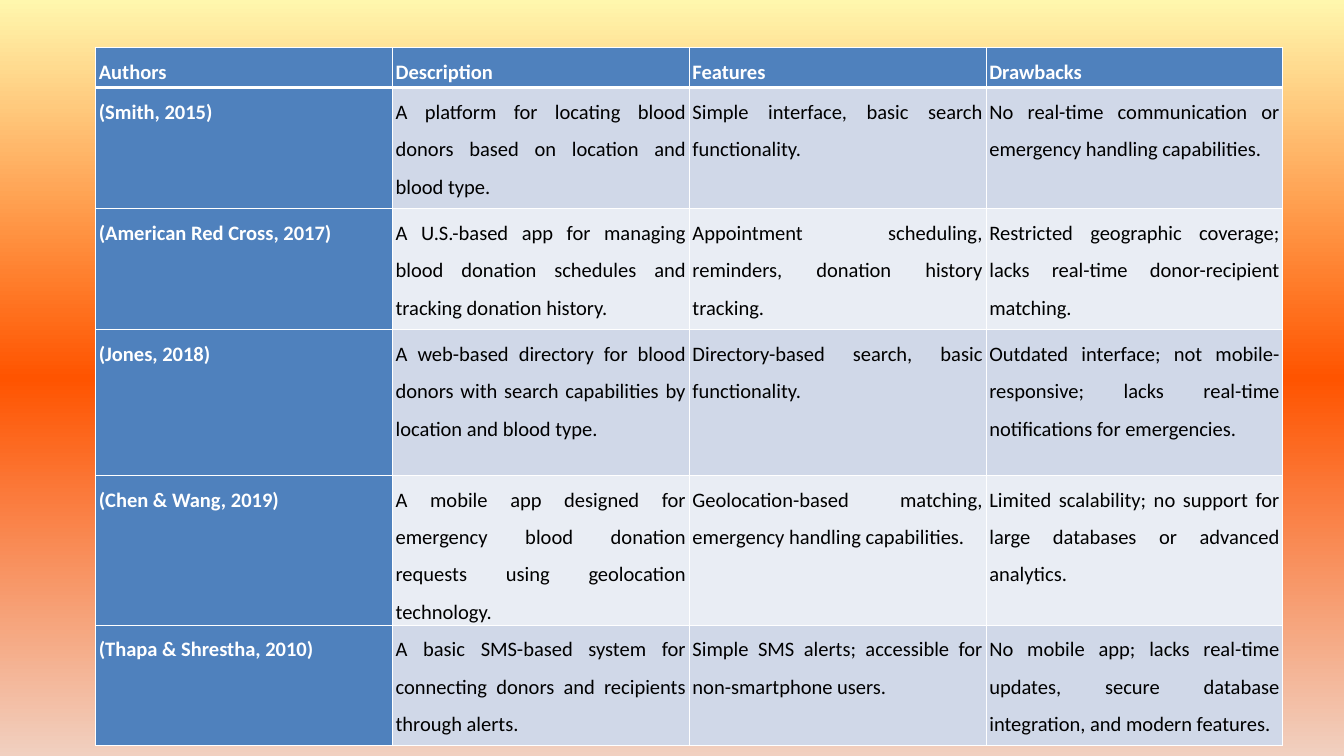
"""Build a slide comparing published blood donation systems in a table."""
from dataclasses import astuple, dataclass

import lxml.etree
import pptx
import pptx.dml.color
import pptx.enum.text
import pptx.oxml
import pptx.oxml.ns
import pptx.slide
import pptx.table
import pptx.util

Inches = pptx.util.Inches
RGBColor = pptx.dml.color.RGBColor
qn = pptx.oxml.ns.qn

WHITE = RGBColor(0xFF, 0xFF, 0xFF)
BLACK = RGBColor(0x00, 0x00, 0x00)
BLUE = RGBColor(0x4F, 0x81, 0xBD)
BAND_DARK = RGBColor(0xD0, 0xD8, 0xE8)
BAND_LIGHT = RGBColor(0xE9, 0xED, 0xF4)
GRADIENT = (
    (0, RGBColor(0xFF, 0xF7, 0xAD)),
    (50, RGBColor(0xFF, 0x54, 0x00)),
    (100, RGBColor(0xF1, 0xD0, 0xC0)),
)
ROW_HEIGHTS = (0.59, 1.8, 1.8, 2.17, 2.17, 1.8)
TABLE_WIDTH = 17.67


@dataclass(frozen=True)
class Study:
    authors: str
    description: str
    features: str
    drawbacks: str


STUDIES = (
    Study("Authors", "Description", "Features", "Drawbacks"),
    Study(
        "(Smith, 2015)",
        "A platform for locating blood donors based on location and blood type.",
        "Simple interface, basic search functionality.",
        "No real-time communication or emergency handling capabilities.",
    ),
    Study(
        "(American Red Cross, 2017)",
        "A U.S.-based app for managing blood donation schedules and tracking donation history.",
        "Appointment scheduling, reminders, donation history tracking.",
        "Restricted geographic coverage; lacks real-time donor-recipient matching.",
    ),
    Study(
        "(Jones, 2018)",
        "A web-based directory for blood donors with search capabilities by location and blood type.",
        "Directory-based search, basic functionality.",
        "Outdated interface; not mobile-responsive; lacks real-time notifications for emergencies.",
    ),
    Study(
        "(Chen & Wang, 2019)",
        "A mobile app designed for emergency blood donation requests using geolocation technology.",
        "Geolocation-based matching, emergency handling capabilities.",
        "Limited scalability; no support for large databases or advanced analytics.",
    ),
    Study(
        "(Thapa & Shrestha, 2010)",
        "A basic SMS-based system for connecting donors and recipients through alerts.",
        "Simple SMS alerts; accessible for non-smartphone users.",
        "No mobile app; lacks real-time updates, secure database integration, and modern features.",
    ),
)


def paint_background(slide: pptx.slide.Slide) -> None:
    """Fill the background with the vertical sunset gradient."""
    fill = slide.background.fill
    fill.gradient()
    fill.gradient_angle = 270
    stops = next(slide.element.iter(qn("a:gsLst")))
    for default_stop in list(stops):
        stops.remove(default_stop)
    for percent, color in GRADIENT:
        stop = lxml.etree.SubElement(stops, qn("a:gs"), pos=str(percent * 1000))
        lxml.etree.SubElement(stop, qn("a:srgbClr"), val=str(color))


def write_text(cell: pptx.table._Cell, text: str, *, color: RGBColor, bold: bool,
               size: float = 22, font: str = "Calibri") -> None:
    """Write justified text with 1.5 line spacing into a cell."""
    cell.margin_left = cell.margin_right = Inches(0.05)
    cell.margin_top = cell.margin_bottom = 0
    paragraph = cell.text_frame.paragraphs[0]
    paragraph.alignment = pptx.enum.text.PP_ALIGN.JUSTIFY
    paragraph.line_spacing = 1.5
    run = paragraph.add_run()
    run.text = text
    run.font.name = font
    run.font.size = pptx.util.Pt(size)
    run.font.bold = bold
    run.font.color.rgb = color


def draw_borders(cell: pptx.table._Cell, *, top: int = 1, bottom: int = 1) -> None:
    """Outline a cell in white, with widths in points."""
    properties = cell._tc.get_or_add_tcPr()
    widths = {"a:lnL": 1, "a:lnR": 1, "a:lnT": top, "a:lnB": bottom}
    for position, (side, width) in enumerate(widths.items()):
        line = pptx.oxml.parse_xml(
            f'<{side} {pptx.oxml.ns.nsdecls("a")} w="{pptx.util.Pt(width)}">'
            f'<a:solidFill><a:srgbClr val="{WHITE}"/></a:solidFill></{side}>'
        )
        properties.insert(position, line)


def add_studies(slide: pptx.slide.Slide) -> None:
    """Add the table with its header row, author column and banded body."""
    columns = len(astuple(STUDIES[0]))
    table = slide.shapes.add_table(
        len(STUDIES), columns, Inches(1.42), Inches(0.71),
        Inches(TABLE_WIDTH), Inches(sum(ROW_HEIGHTS)),
    ).table
    table.first_col = True
    for column in table.columns:
        column.width = Inches(TABLE_WIDTH / columns)
    for row_index, (study, height) in enumerate(zip(STUDIES, ROW_HEIGHTS)):
        table.rows[row_index].height = Inches(height)
        band = BAND_DARK if row_index % 2 else BAND_LIGHT
        for column_index, text in enumerate(astuple(study)):
            heading = row_index == 0 or column_index == 0
            cell = table.cell(row_index, column_index)
            cell.fill.solid()
            cell.fill.fore_color.rgb = BLUE if heading else band
            draw_borders(cell, top=3 if row_index == 1 else 1,
                         bottom=3 if row_index == 0 else 1)
            write_text(cell, text, color=WHITE if heading else BLACK, bold=heading)


def main() -> None:
    """Build and save the presentation."""
    presentation = pptx.Presentation()
    presentation.slide_width = Inches(20)
    presentation.slide_height = Inches(11.25)
    slide = presentation.slides.add_slide(presentation.slide_layouts[6])
    paint_background(slide)
    add_studies(slide)
    presentation.save("out.pptx")


if __name__ == "__main__":
    main()
